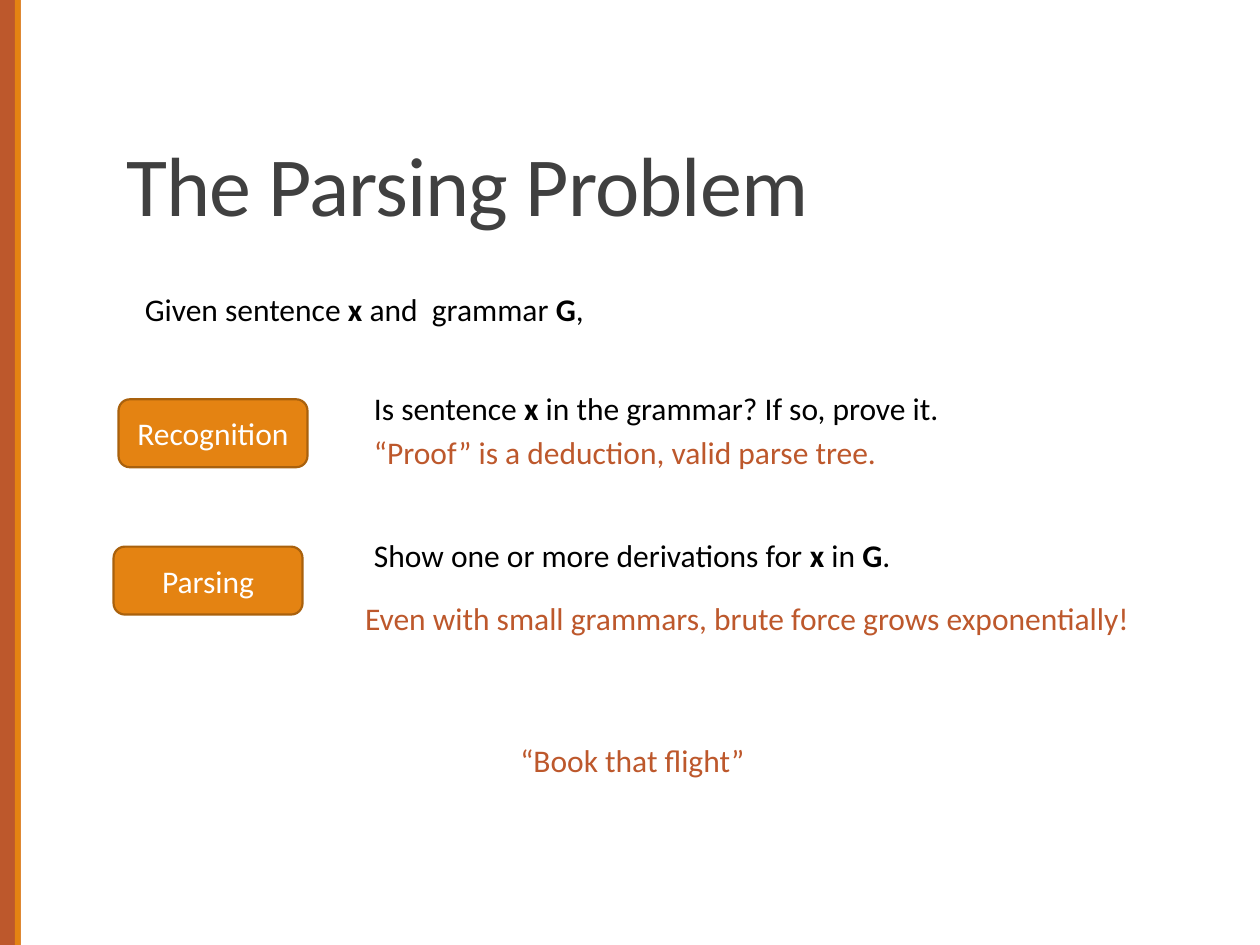
"""Build the slide that sets out the parsing problem."""
from dataclasses import dataclass

from pptx import Presentation
from pptx.dml.color import RGBColor
from pptx.enum.shapes import MSO_SHAPE as Shape
from pptx.enum.text import MSO_ANCHOR as Anchor, MSO_AUTO_SIZE as AutoSize, PP_ALIGN as Align
from pptx.util import Cm, Pt


@dataclass(frozen=True)
class Theme:
    font: str = "Calibri"
    title_size: int = 48
    body_size: int = 18
    title: str = "404040"
    text: str = "000000"
    label: str = "FFFFFF"
    rust: str = "BD582C"
    orange: str = "E48312"
    outline: str = "A9610D"


THEME = Theme()
SLIDE_WIDTH, SLIDE_HEIGHT = 25.4, 19.05
LINE_HEIGHT = 1.02
BUTTON_SIZE = (3.81, 1.37)

TITLE = "The Parsing Problem"
TITLE_BOX = (2.29, 0.79, 20.96, 4.04)
SIDE_BARS = [(0, 0.42, THEME.rust), (0.3, 0.12, THEME.orange)]

GIVEN = ([("Given sentence ", False), ("x", True), (" and  grammar ", False),
          ("G", True), (",", False)], (2.67, 5.72, 12.67), THEME.text)
EXAMPLE = ([("“Book that flight”", False)], (10.24, 14.81, 5.05), THEME.rust)

TASKS = [
    ("Recognition", (2.39, 8.05), [
        ([("“Proof” is a deduction, valid parse tree.", False)],
         (7.29, 8.61, 10.77), THEME.rust),
        ([("Is sentence ", False), ("x", True),
          (" in the grammar? If so, prove it.", False)],
         (7.29, 7.72, 12.67), THEME.text),
    ]),
    ("Parsing", (2.29, 11.02), [
        ([("Even with small grammars, brute force grows exponentially!", False)],
         (7.11, 11.96, 15.95), THEME.rust),
        ([("Show one or more derivations for ", False), ("x", True), (" in ", False),
          ("G", True), (".", False)],
         (7.29, 10.69, 12.67), THEME.text),
    ]),
]


def add_run(paragraph, text, size, color, bold=False):
    run = paragraph.add_run()
    run.text = text
    font = run.font
    font.name, font.size, font.bold = THEME.font, Pt(size), bold
    font.color.rgb = RGBColor.from_string(color)
    return run


def add_block(shapes, kind, box, fill):
    shape = shapes.add_shape(kind, *map(Cm, box))
    shape.shadow.inherit = False
    shape.fill.solid()
    shape.fill.fore_color.rgb = RGBColor.from_string(fill)
    shape.line.fill.background()
    return shape


def add_sentence(shapes, runs, place, color):
    textbox = shapes.add_textbox(*map(Cm, (*place, LINE_HEIGHT)))
    frame = textbox.text_frame
    frame.word_wrap = color == THEME.text
    frame.auto_size = AutoSize.SHAPE_TO_FIT_TEXT
    for text, bold in runs:
        add_run(frame.paragraphs[0], text, THEME.body_size, color, bold)


def add_button(shapes, label, corner):
    button = add_block(shapes, Shape.ROUNDED_RECTANGLE, (*corner, *BUTTON_SIZE), THEME.orange)
    button.line.color.rgb = RGBColor.from_string(THEME.outline)
    button.line.width = Pt(1.25)
    button.text_frame.vertical_anchor = Anchor.MIDDLE
    paragraph = button.text_frame.paragraphs[0]
    paragraph.alignment = Align.CENTER
    add_run(paragraph, label, THEME.body_size, THEME.label)


def format_title(title):
    title.left, title.top, title.width, title.height = map(Cm, TITLE_BOX)
    frame = title.text_frame
    frame.vertical_anchor = Anchor.BOTTOM
    frame.auto_size = AutoSize.NONE
    paragraph = frame.paragraphs[0]
    paragraph.alignment = Align.LEFT
    paragraph.line_spacing = 0.85
    run = add_run(paragraph, TITLE, THEME.title_size, THEME.title)
    run.font._element.set("spc", "-50")


def main():
    presentation = Presentation()
    presentation.slide_width, presentation.slide_height = Cm(SLIDE_WIDTH), Cm(SLIDE_HEIGHT)
    slide = presentation.slides.add_slide(presentation.slide_layouts[5])
    shapes = slide.shapes
    format_title(shapes.title)
    for left, width, fill in SIDE_BARS:
        add_block(shapes, Shape.RECTANGLE, (left, 0, width, SLIDE_HEIGHT), fill)
    add_sentence(shapes, *GIVEN)
    for label, corner, sentences in TASKS:
        group = shapes.add_group_shape()
        add_button(group.shapes, label, corner)
        for sentence in sentences:
            add_sentence(group.shapes, *sentence)
    add_sentence(shapes, *EXAMPLE)
    presentation.save("out.pptx")


if __name__ == "__main__":
    main()
